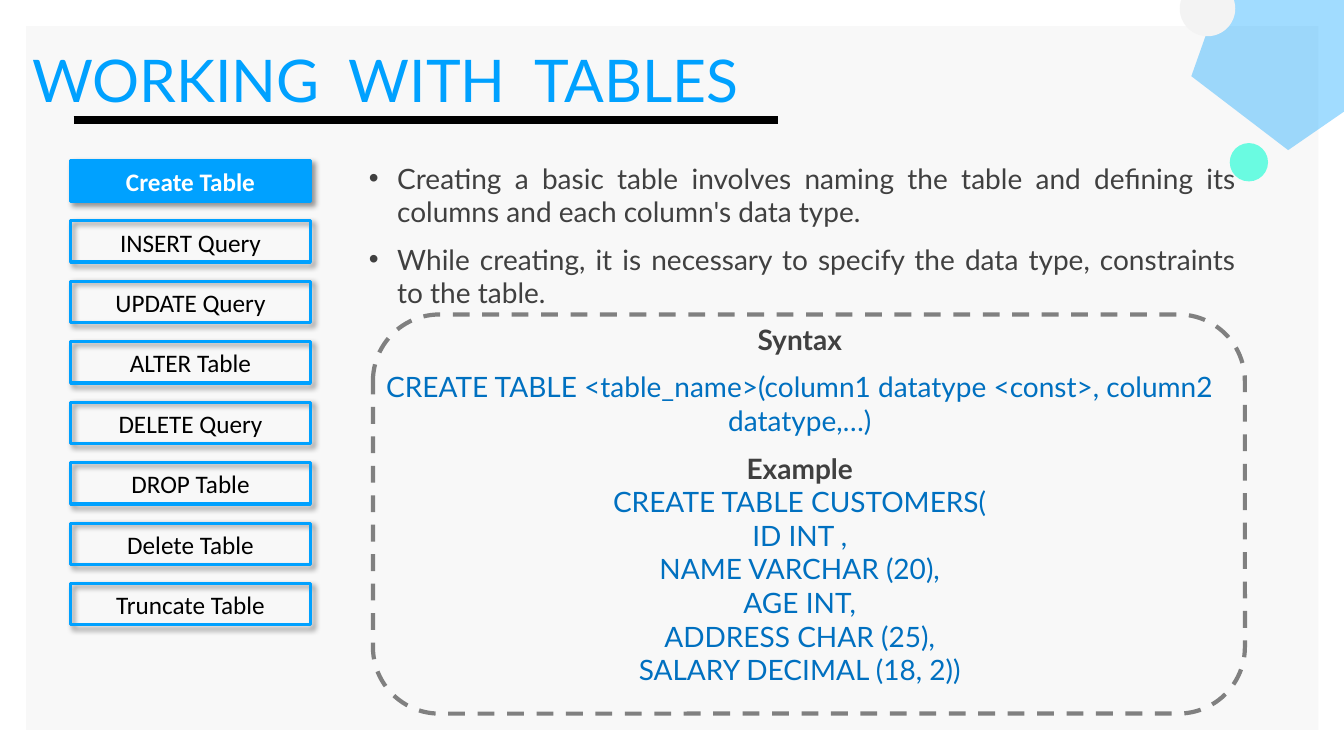
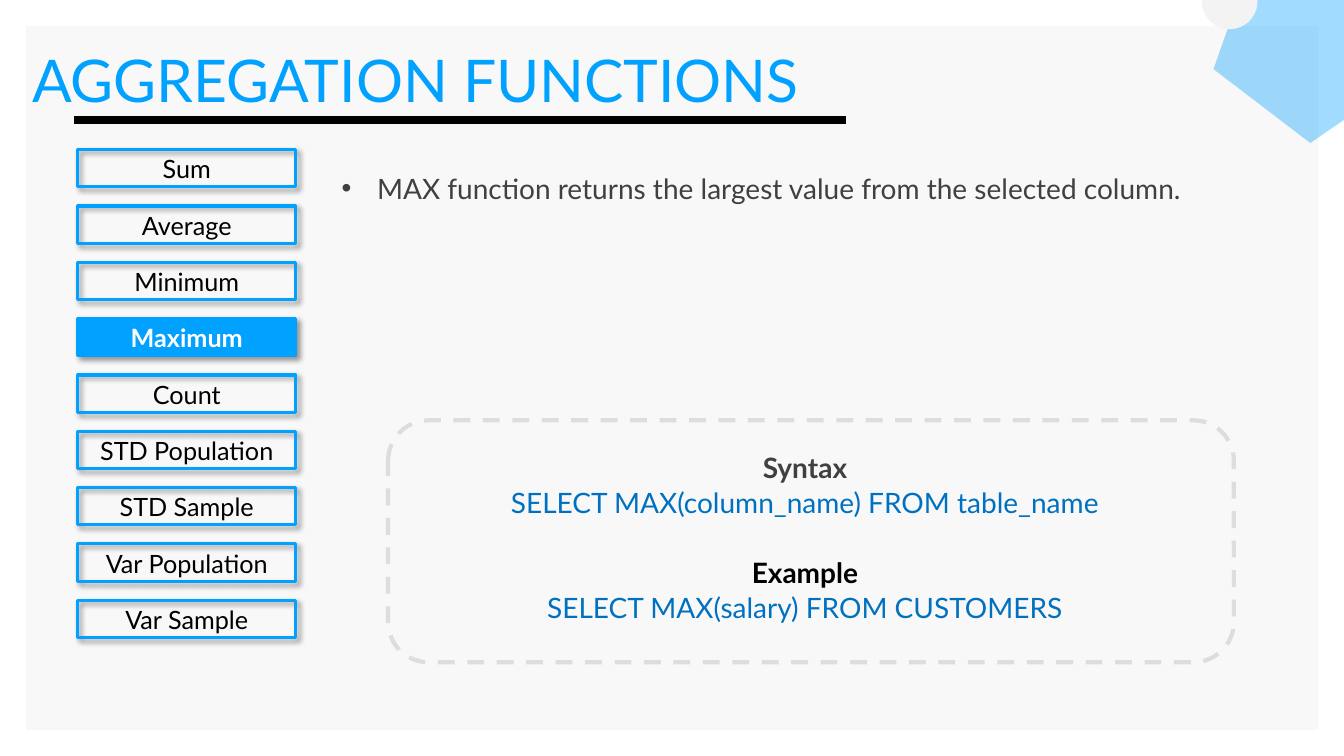
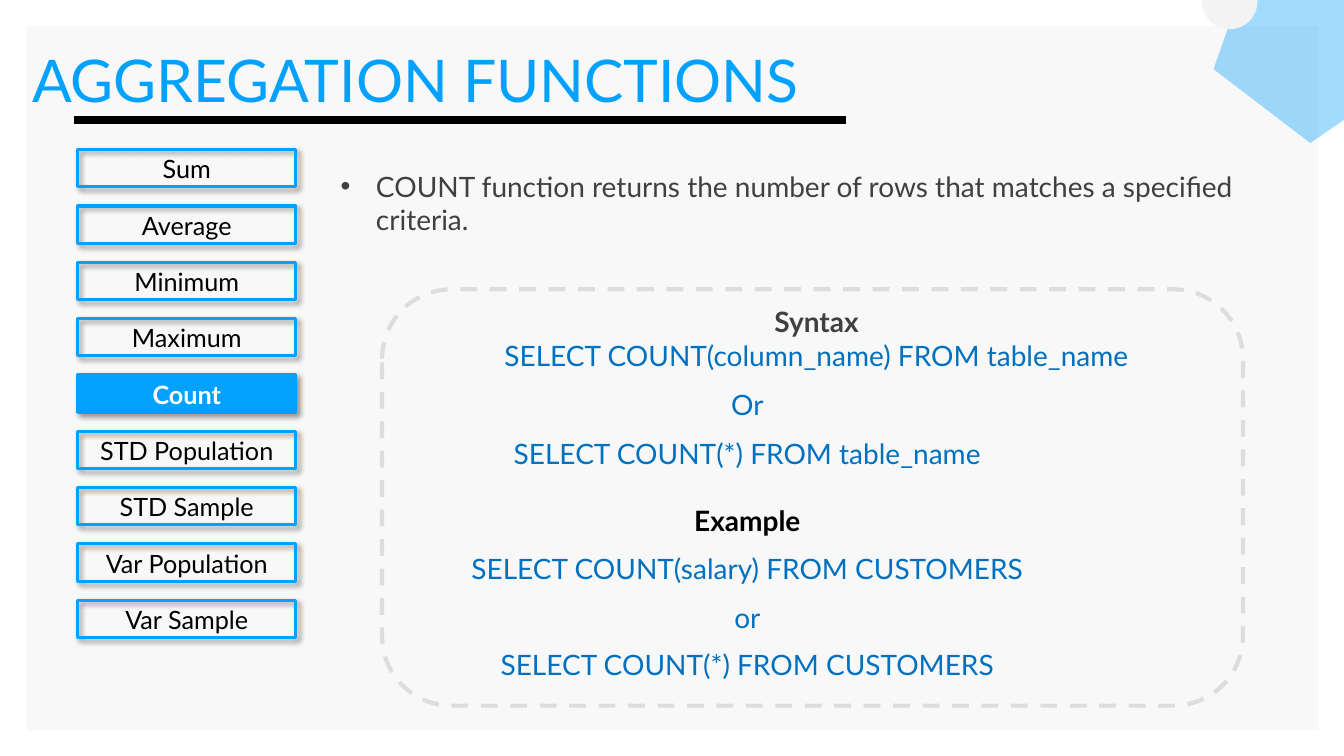
from lxml import etree
from pptx import Presentation
from pptx.dml.color import RGBColor
from pptx.enum.dml import MSO_LINE
from pptx.enum.shapes import MSO_CONNECTOR, MSO_SHAPE
from pptx.enum.text import MSO_ANCHOR, MSO_AUTO_SIZE, PP_ALIGN
from pptx.oxml.ns import qn
from pptx.util import Inches, Pt

WIDE, HIGH = Inches(13.333), Inches(7.5)
RECT, ROUND = MSO_SHAPE.RECTANGLE, MSO_SHAPE.ROUNDED_RECTANGLE
OVAL, PENTA = MSO_SHAPE.OVAL, MSO_SHAPE.REGULAR_PENTAGON
LINE, DASH = MSO_CONNECTOR.STRAIGHT, MSO_LINE.DASH
TOP, MID, FIXED = MSO_ANCHOR.TOP, MSO_ANCHOR.MIDDLE, MSO_AUTO_SIZE.NONE
LEFT, MIDDLE, JUST = PP_ALIGN.LEFT, PP_ALIGN.CENTER, PP_ALIGN.JUSTIFY

SKY, BLUE, MINT = "00A1FF", "0070C0", "00FFD0"
BLACK, WHITE, INK = "000000", "FFFFFF", "404040"
PANEL, PALE, GREY, SILVER = "F8F8F8", "F3F3F3", "808080", "DDDDDD"
FONT = "Lato"

TABLES = ["Create Table", "INSERT Query", "UPDATE Query", "ALTER Table",
          "DELETE Query", "DROP Table", "Delete Table", "Truncate Table"]
TOTALS = ["Sum", "Average", "Minimum", "Maximum", "Count", "STD Population",
          "STD Sample", "Var Population", "Var Sample"]

CREATE = [
    ("Syntax", INK, 0, 0),
    ("CREATE TABLE <table_name>(column1 datatype <const>, column2 datatype,…)",
     BLUE, 9.9, 0),
    ("Example", INK, 9.9, 0),
    ("CREATE TABLE CUSTOMERS(", BLUE, 0, 0),
    ("ID INT ,", BLUE, 0, 0),
    ("NAME VARCHAR (20),", BLUE, 0, 0),
    ("AGE INT,", BLUE, 0, 0),
    ("ADDRESS CHAR (25),", BLUE, 0, 0),
    ("SALARY DECIMAL (18, 2))", BLUE, 0, 0),
]
LARGEST = [
    ("Syntax", INK, 0, 0),
    ("SELECT MAX(column_name) FROM table_name", BLUE, 1, 0),
    ("Example", BLACK, 26, 0),
    ("SELECT MAX(salary) FROM CUSTOMERS", BLUE, 1, 0),
]
COUNT = [
    ("Syntax", INK, 0, 0),
    ("SELECT COUNT(column_name) FROM table_name", BLUE, 0, 0),
    ("Or", BLUE, 11, 10.3),
    ("SELECT COUNT(*) FROM table_name", BLUE, 11, 10.3),
    ("Example", BLACK, 24.5, 0),
    ("SELECT COUNT(salary) FROM CUSTOMERS", BLUE, 9.9, 0),
    ("or", BLUE, 10.7, 0),
    ("SELECT COUNT(*) FROM CUSTOMERS", BLUE, 9.9, 0),
]


def rgb(code):
    return RGBColor.from_string(code)


def across(share):
    return round(WIDE * share / 100)


def down(share):
    return round(HIGH * share / 100)


def place(x, y, w, h):
    return across(x), down(y), across(w), down(h)


def style(item, **values):
    for name, value in values.items():
        setattr(item, name, value)


def child(node, tag, **values):
    return etree.SubElement(node, qn(tag), values)


def shape(slide, kind, area, fill=None, alpha=100, line=None, width=0):
    item = slide.shapes.add_shape(kind, *place(*area))
    item.shadow.inherit = False
    if fill:
        item.fill.solid()
        item.fill.fore_color.rgb = rgb(fill)
        if alpha < 100:
            tone = item.fill._xPr.find(".//" + qn("a:srgbClr"))
            child(tone, "a:alpha", val=str(alpha * 1000))
    else:
        item.fill.background()
    if line:
        item.line.color.rgb = rgb(line)
        item.line.width = Pt(width)
    else:
        item.line.fill.background()
    return item


def shade(item):
    effect = item.element.spPr.find(qn("a:effectLst"))
    drop = child(effect, "a:outerShdw", blurRad=str(Pt(4)), dist=str(Pt(3)),
                 dir="2700000", algn="tl", rotWithShape="0")
    child(child(drop, "a:srgbClr", val=BLACK), "a:alpha", val="40000")


def frame(item, anchor=TOP):
    text = item.text_frame
    style(text, word_wrap=True, auto_size=FIXED, vertical_anchor=anchor,
          margin_left=0, margin_right=0, margin_top=Inches(0.01),
          margin_bottom=0)
    return text


def write(par, text, color, size=20, bold=False, font=FONT, align=MIDDLE,
          gap=0):
    style(par, alignment=align, space_before=Pt(gap))
    run = par.add_run()
    run.text = text
    style(run.font, name=font, size=Pt(size), bold=bold)
    run.font.color.rgb = rgb(color)


def box(slide, area, anchor=TOP):
    return frame(slide.shapes.add_textbox(*place(*area)), anchor)


def lines(text, rows):
    for spot, row in enumerate(rows):
        yield text.paragraphs[0] if spot == 0 else text.add_paragraph(), row


def base(deck):
    layout = deck.slide_layouts[5]
    draft = deck.slides.add_slide(layout)
    panel = shape(draft, RECT, (1.95, 3.47, 96.15, 93.07), PANEL)
    panel.element.nvSpPr.cNvPr.set("id", "99")
    layout.shapes.element.insert(2, panel.element)
    return layout, draft


def head(slide, title, end):
    item = slide.shapes.title
    spot = place(2.4, 5.6, 97.6, 7.33)
    style(item, **dict(zip(("left", "top", "width", "height"), spot)))
    write(frame(item).paragraphs[0], title, SKY, 42, align=LEFT)
    y = down(15.87)
    rule = slide.shapes.add_connector(LINE, across(5.48), y, across(end), y)
    rule.line.color.rgb = rgb(BLACK)
    rule.line.width = Pt(6)
    child(rule._element.spPr, "a:effectLst")


def corner(slide, x, y):
    gem = shape(slide, PENTA, (x, y, 14.7, 24.8), SKY, 37)
    gem.rotation = 325.4
    shape(slide, OVAL, (x - 0.5, y + 4.8, 4.13, 7.33), PALE)


def menu(slide, names, live, area, step, font):
    x, y, w, h = area
    for row, name in enumerate(names):
        spot = (x, y + row * step, w, h)
        on = name == live
        shade(shape(slide, RECT, spot, SKY if on else None, 100, SKY, 2.25))
        label = box(slide, spot, MID)
        write(label.paragraphs[0], name, WHITE if on else BLACK, 18, on, font)


def note(slide, area, rows, left, hang, align=LEFT):
    for par, (text, gap) in lines(box(slide, area), rows):
        write(par, text, INK, align=align, gap=gap)
        props = par._p.get_or_add_pPr()
        props.set("marL", str(Inches(left)))
        props.set("indent", str(-Inches(hang)))
        child(child(props, "a:buClr"), "a:srgbClr", val=INK)
        child(props, "a:buFont", typeface="Arial")
        child(props, "a:buChar", char="•")


def card(slide, area, edge, rows, pad, shift):
    x, y, w, h = area
    border = shape(slide, ROUND, area, line=edge, width=3)
    border.line.dash_style = DASH
    text = box(slide, (x + shift, y + pad, w, h - 2 * pad))
    for par, (words, color, gap, inset) in lines(text, rows):
        write(par, words, color, bold=color != BLUE, gap=gap)
        if inset:
            par._p.get_or_add_pPr().set("marR", str(across(inset)))


def tables(slide):
    head(slide, "WORKING  WITH  TABLES", 57.9)
    corner(slide, 88.28, -7.33)
    shape(slide, OVAL, (91.5, 18.93, 2.85, 5.07), MINT, 57)
    menu(slide, TABLES, "Create Table", (5.25, 21.2, 17.85, 5.47), 8, "Calibri")
    note(slide, (27.08, 21.2, 64.88, 20), [
        ("Creating a basic table involves naming the table and defining its "
         "columns and each column's data type.", 0),
        ("While creating, it is necessary to specify the data type, "
         "constraints to the table.", 9.9)], 0.33, 0.28, JUST)
    card(slide, (27.75, 41.6, 64.88, 52.8), GREY, CREATE, 0.93, -0.68)


def totals(slide, live, spot, text, area, rows, pad, shift):
    head(slide, "AGGREGATION FUNCTIONS", 62.93)
    corner(slide, 89.93, -8.27)
    menu(slide, TOTALS, live, (5.8, 19.8, 16.2, 4.93), 7.45, FONT)
    note(slide, spot, [(text, 0)], 0.39, 0.35)
    card(slide, area, SILVER, rows, pad, shift)


def main():
    deck = Presentation()
    style(deck, slide_width=WIDE, slide_height=HIGH)
    layout, first = base(deck)
    tables(first)
    totals(deck.slides.add_slide(layout), "Maximum", (25.13, 22.53, 69.45, 5),
           "MAX function returns the largest value from the selected column.",
           (28.88, 55.6, 62.93, 32), LARGEST, 3.87, -0.45)
    totals(deck.slides.add_slide(layout), "Count", (25.05, 22.27, 67.58, 10),
           "COUNT function returns the number of rows that matches a specified "
           "criteria.", (28.43, 38.27, 64.05, 55.07), COUNT, 1.87, 0.3)
    deck.save("out.pptx")


if __name__ == "__main__":
    main()
